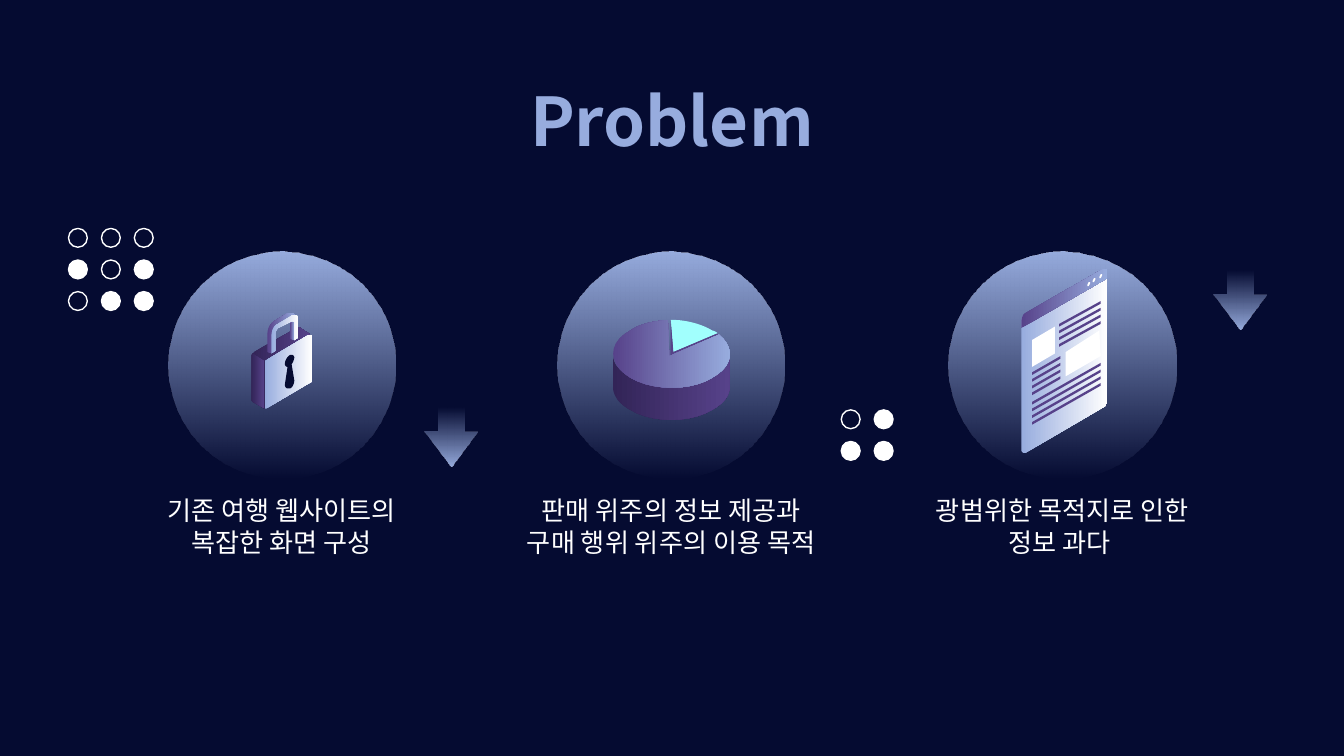
from dataclasses import dataclass

from lxml import etree
from pptx import Presentation
from pptx.dml.color import RGBColor
from pptx.enum.shapes import MSO_SHAPE
from pptx.enum.text import MSO_ANCHOR, MSO_AUTO_SIZE, PP_ALIGN
from pptx.oxml.ns import qn
from pptx.util import Inches, Pt

OVAL, UP_ARROW = MSO_SHAPE.OVAL, MSO_SHAPE.UP_ARROW
CENTER, TOP, NO_FIT = PP_ALIGN.CENTER, MSO_ANCHOR.TOP, MSO_AUTO_SIZE.NONE


@dataclass(frozen=True)
class Theme:
    font: str = "Noto Sans CJK KR"
    title_size: int = 36
    caption_size: int = 14
    navy: str = "050B31"
    blue: str = "97ACDE"
    white: str = "FFFFFF"
    purple: str = "57428A"
    dark_purple: str = "322457"
    cyan: str = "A1FFFD"


T = Theme()
SHADE = (T.dark_purple, T.purple)
EDGE = (T.purple, T.blue)
FACE = (T.blue, T.white)

# Outlines in hundredths of an inch from the disc's corner:
# two numbers draw a line, six a cubic curve.
LOCK = [
    ("97 56/96 56 96 56 96 57/64 75/63 76 62 77 62 78/62 111/63 112/72 117/72 83"
     "/72 82 72 81 73 81/105 62/106 62", SHADE),
    ("106 62/105 62/73 81/72 81 72 82 72 83/72 116/72 117/73 117/105 98"
     "/106 98 107 97 107 96/107 63/107 62 107 62 106 62", FACE),
    ("63 76/63 76 62 77 62 78/62 111/63 112/72 117/72 82", SHADE),
    ("92 77/91 77/89 78 87 81 87 84/87 85 88 86 89 86/87 99/87 101 88 102 89 102"
     "/91 102/93 101 94 98 94 96/92 84/93 83 94 80 94 79/94 78 93 77 92 77", T.navy),
    ("91 50/91 65/94 66/94 53/94 52 93 52 93 52", EDGE),
    ("91 46/89 46/79 52/76 54 74 58 74 61/74 75/77 76/77 63/77 59 79 55 82 54"
     "/92 48/92 47 93 47 94 47/95 48/93 46", EDGE),
    ("94 47/93 47 92 47 92 48/82 54/79 55 77 59 77 63/77 76/80 74/80 61"
     "/80 60 81 58 82 57/92 52/93 52 94 52 94 53/94 66/97 64/97 51"
     "/97 49 96 47 94 47", FACE),
]
PIE = [
    ("115 59/116 59 118 60 119 61/86 75/84 51/95 51 107 54 115 59", T.cyan),
    ("119 61/119 88/86 102/86 75", T.purple),
    ("86 75/86 102/84 78/84 51", T.purple),
    ("128 77/128 101/128 107 124 113 115 118/98 128 71 128 54 118"
     "/45 113 41 107 41 100/41 76/41 83 45 89 54 94/71 104 99 104 115 94"
     "/124 89 128 83 128 77", SHADE),
    ("120 62/132 72 131 85 115 94/99 104 71 104 54 94/37 84 37 68 54 59"
     "/61 54 71 52 82 51/83 78", EDGE),
]


def text_lines(right, top, left, bottom):
    """Four slanted lines of dummy text, one under the other."""
    return [(f"{right} {top + d}/{left} {bottom + d}/{left} {bottom + d + 2}"
             f"/{right} {top + d + 2}", T.purple) for d in range(0, 20, 5)]


WEB_PAGE = [
    ("116 13/115 13/57 47/55 47 54 50 54 52/54 148/54 149 55 150 56 150/57 150"
     "/115 116/117 115 118 113 118 111/118 15/118 13 117 13 116 13", FACE),
    ("116 13/115 13/57 46/55 47 54 50 54 52/54 57/118 20/118 15"
     "/118 13 117 13 116 13", EDGE),
    *[(f"{x + 2} {y}/{x + 1} {y}/{x} {y + 2}/{x} {y + 3}/{x + 1} {y + 3}/{x + 2} {y + 1}",
       T.white) for x, y in ((112, 17), (107, 20), (103, 23))],
    ("79 56/62 66/62 86/79 76", T.white),
    *text_lines(113, 37, 82, 54),
    ("112 59/87 75/87 93/113 78", T.white),
    *text_lines(83, 78, 62, 90),
    *text_lines(113, 83, 62, 112),
]


def paint(sp, color, angle=0, fade=False):
    """Fill with one colour or a gradient pair, without line or shadow."""
    sp.shadow.inherit = False
    sp.line.fill.background()
    if isinstance(color, str):
        sp.fill.solid()
        sp.fill.fore_color.rgb = RGBColor.from_string(color)
        return
    sp.fill.gradient()
    sp.fill.gradient_angle = angle
    for stop, c in zip(sp.fill.gradient_stops, color):
        stop.color.rgb = RGBColor.from_string(c)
    if fade:
        last = list(sp._element.spPr.iter(qn("a:srgbClr")))[-1]
        etree.SubElement(last, qn("a:alpha"), val="0")


def outline_points(outline, steps=10):
    points = []
    for part in outline.split("/"):
        n = [float(v) for v in part.split()]
        if len(n) == 2:
            points.append(tuple(n))
            continue
        (x0, y0), (x1, y1, x2, y2, x3, y3) = points[-1], n
        for i in range(1, steps + 1):
            t = i / steps
            a, b, c, d = (1 - t) ** 3, 3 * t * (1 - t) ** 2, 3 * t * t * (1 - t), t ** 3
            points.append((a * x0 + b * x1 + c * x2 + d * x3,
                           a * y0 + b * y1 + c * y2 + d * y3))
    return points


def add_icon(s, left, top, parts):
    group = s.shapes.add_group_shape()
    for outline, color in parts:
        points = [(Inches(left + x / 100), Inches(top + y / 100))
                  for x, y in outline_points(outline)]
        builder = group.shapes.build_freeform(*points[0])
        builder.add_line_segments(points[1:], close=True)
        paint(builder.convert_to_shape(), color)


def add_disc(s, left, top, size):
    sp = s.shapes.add_shape(OVAL, Inches(left), Inches(top), Inches(size), Inches(size))
    paint(sp, (T.blue, T.blue), angle=270, fade=True)


def add_arrow(s, left, top, width=0.39, height=0.44):
    sp = s.shapes.add_shape(UP_ARROW, Inches(left), Inches(top), Inches(width), Inches(height))
    sp.adjustments[0], sp.adjustments[1] = 0.5, 0.68
    sp.rotation = 180
    paint(sp, (T.blue, T.blue), angle=270, fade=True)


def add_dots(s, left, top, rows, size=0.14, dx=0.245, dy=0.235):
    """Grid of rings; a 1 in a row makes a filled dot."""
    group = s.shapes.add_group_shape()
    for i, row in enumerate(rows):
        for j, mark in enumerate(row):
            sp = group.shapes.add_shape(OVAL, Inches(left + j * dx), Inches(top + i * dy),
                                        Inches(size), Inches(size))
            paint(sp, T.white)
            if mark == "0":
                sp.fill.background()
            sp.line.color.rgb = RGBColor.from_string(T.white)
            sp.line.width = Pt(0.75)


def fill_placeholder(sp, box, text, size, color, bold=False):
    sp.left, sp.top, sp.width, sp.height = map(Inches, box)
    tf = sp.text_frame
    tf.text = text
    tf.word_wrap, tf.auto_size, tf.vertical_anchor = True, NO_FIT, TOP
    tf.margin_left = tf.margin_right = tf.margin_top = tf.margin_bottom = Inches(0.1)
    for p in tf.paragraphs:
        p.alignment, p.space_before, p.line_spacing = CENTER, Pt(0), 1.0
        pPr = p._p.get_or_add_pPr()
        pPr.set("marL", "0")
        pPr.set("indent", "0")
        etree.SubElement(pPr, qn("a:buNone"))
        for r in p.runs:
            r.font.name, r.font.size, r.font.bold = T.font, Pt(size), bold
            r.font.color.rgb = RGBColor.from_string(color)
            etree.SubElement(r._r.get_or_add_rPr(), qn("a:ea"), typeface=T.font)


def add_problem(s, sp, box, text, icon):
    """Disc with an icon, and the caption below it."""
    left, top, size = box
    add_disc(s, left, top, size)
    add_icon(s, left, top, icon)
    fill_placeholder(sp, (left - 0.47, top + 1.71, 2.63, 0.91), text, T.caption_size, T.white)


def main():
    prs = Presentation()
    prs.slide_width = Inches(10)
    prs.slide_height = prs.slide_width * 9 // 16
    s = prs.slides.add_slide(prs.slide_layouts.get_by_name("Comparison"))
    s.background.fill.solid()
    s.background.fill.fore_color.rgb = RGBColor.from_string(T.navy)

    title, *captions, spare = list(s.placeholders)
    spare._element.getparent().remove(spare._element)
    fill_placeholder(title, (0.78, 0.49, 8.44, 0.81), "Problem", T.title_size, T.blue, bold=True)

    problems = [
        (1.25, "기존 여행 웹사이트의\n복잡한 화면 구성", LOCK),
        (4.15, "판매 위주의 정보 제공과\n구매 행위 위주의 이용 목적", PIE),
        (7.06, "광범위한 목적지로 인한\n정보 과다 ", WEB_PAGE),
    ]
    for sp, (left, text, icon) in zip(captions, problems):
        add_problem(s, sp, (left, 1.87, 1.69), text, icon)

    add_dots(s, 0.51, 1.7, ("000", "101", "011"))
    add_dots(s, 6.26, 3.05, ("01", "11"))
    add_arrow(s, 3.16, 3.03)
    add_arrow(s, 9.03, 2.01)
    prs.save("out.pptx")


if __name__ == "__main__":
    main()
